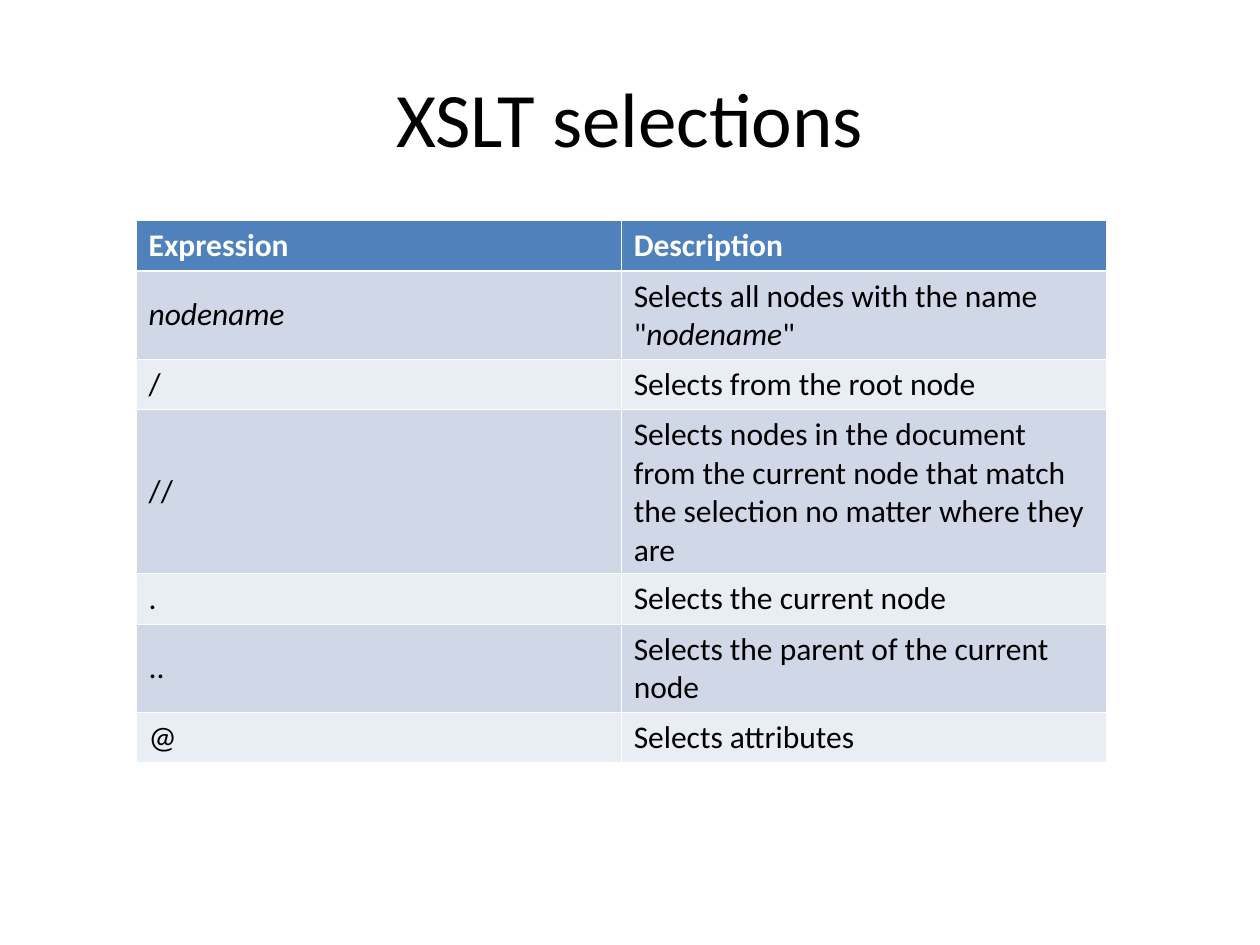
from lxml import etree
from pptx import Presentation
from pptx import util as u
from pptx.dml.color import RGBColor
from pptx.enum import text
from pptx.oxml import ns

BLACK = RGBColor(0, 0, 0)
WHITE = RGBColor(255, 255, 255)
BLUE = RGBColor(0x4F, 0x81, 0xBD)
DARK = RGBColor(0xD0, 0xD8, 0xE8)
LIGHT = RGBColor(0xE9, 0xED, 0xF4)


def add_run(par, words, size, color, bold=False, italic=False):
    run = par.add_run()
    run.text = words
    font = run.font
    font.name, font.size = "Calibri", u.Pt(size)
    font.bold, font.italic = bold, italic
    font.color.rgb = color


def add_line(cell, side, width):
    props = cell._tc.get_or_add_tcPr()
    line = etree.SubElement(props, ns.qn("a:ln" + side), w=str(u.Pt(width)))
    fill = etree.SubElement(line, ns.qn("a:solidFill"))
    etree.SubElement(fill, ns.qn("a:srgbClr"), val=str(WHITE))


prs = Presentation()
prs.slide_width, prs.slide_height = u.Inches(10), u.Inches(7.5)
slide = prs.slides.add_slide(prs.slide_layouts[6])

# Title
box = slide.shapes.add_textbox(u.Inches(0.5), u.Inches(0.3), u.Inches(9), u.Inches(1.25))
frame = box.text_frame
frame.word_wrap = True
frame.vertical_anchor = text.MSO_ANCHOR.MIDDLE
par = frame.paragraphs[0]
par.alignment = text.PP_ALIGN.CENTER
add_run(par, "XSLT selections", 44, BLACK)

# Rows: height, then the runs of each cell as (words, italic)
rows = [
    (0.4, [("Expression", False)], [("Description", False)]),
    (0.7, [("nodename", True)],
     [('Selects all nodes with the name "', False), ("nodename", True), ('"', False)]),
    (0.4, [("/", False)], [("Selects from the root node", False)]),
    (1.3, [("//", False)],
     [("Selects nodes in the document from the current node that match "
       "the selection no matter where they are", False)]),
    (0.4, [(".", False)], [("Selects the current node", False)]),
    (0.7, [("..", False)], [("Selects the parent of the current node", False)]),
    (0.4, [("@", False)], [("Selects attributes", False)]),
]

# Table
table = slide.shapes.add_table(len(rows), 2, u.Inches(1.08), u.Inches(1.75),
                               u.Inches(7.7), u.Inches(4.3)).table
for col in table.columns:
    col.width = u.Inches(3.85)

for r, (height, *cells) in enumerate(rows):
    table.rows[r].height = u.Inches(height)
    head = r == 0
    shade = BLUE if head else DARK if r % 2 else LIGHT
    for c, runs in enumerate(cells):
        cell = table.cell(r, c)
        cell.vertical_anchor = text.MSO_ANCHOR.MIDDLE
        # A thicker rule parts the header from the body
        for side in "LRTB":
            thick = (r, side) in ((0, "B"), (1, "T"))
            add_line(cell, side, 1.5 if thick else 0.45)
        cell.fill.solid()
        cell.fill.fore_color.rgb = shade
        for words, italic in runs:
            add_run(cell.text_frame.paragraphs[0], words, 18,
                    WHITE if head else BLACK, head, italic)

prs.save("out.pptx")
